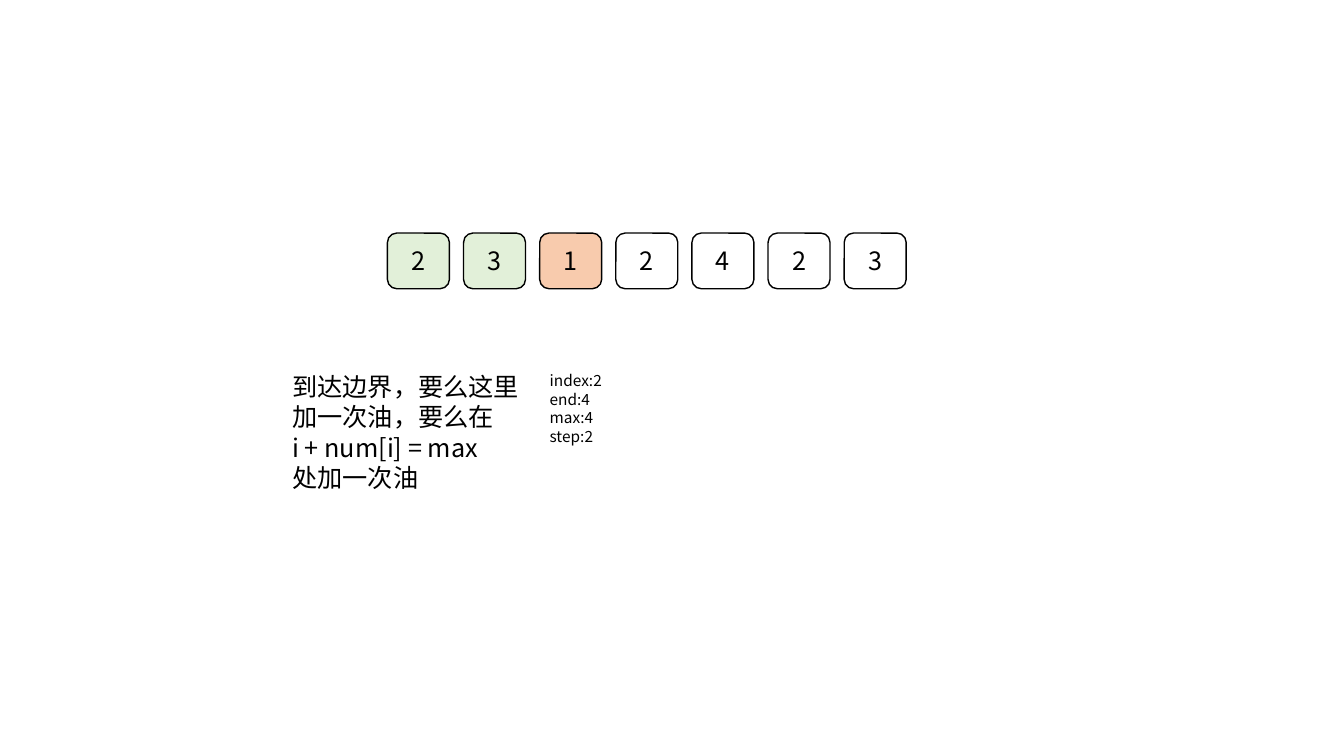
import pptx
import pptx.util
import pptx.dml.color
import pptx.enum.shapes
import pptx.enum.text
import pptx.oxml.ns
import lxml.etree

PX = 9525  # EMU per px, 96 px to the inch
FONT = "Noto Sans CJK SC"
COLORS = {"ink": "000000", "passed": "E2F0D9", "current": "F8CBAD", "ahead": "FFFFFF"}


def px(*lengths):
    return [pptx.util.Emu(round(n * PX)) for n in lengths]


def rgb(name):
    return pptx.dml.color.RGBColor.from_string(COLORS[name])


def format_text(tf, size):
    for p in tf.paragraphs:
        p.line_spacing = pptx.util.Pt(size * 1.2)
        for r in p.runs:
            r.font.size = pptx.util.Pt(size)
            r.font.name = FONT
            r.font.color.rgb = rgb("ink")
            ea = lxml.etree.SubElement(r.font._element, pptx.oxml.ns.qn("a:ea"))
            ea.set("typeface", FONT)


def add_array(s, box, values, states):
    """Spread the cells evenly across the box."""
    left, top, width, height = box
    cell_width = 59
    pitch = (width - cell_width) / (len(values) - 1)
    for i, (value, state) in enumerate(zip(values, states)):
        sp = s.shapes.add_shape(pptx.enum.shapes.MSO_SHAPE.ROUNDED_RECTANGLE,
                                *px(left + i * pitch, top, cell_width, height))
        sp.shadow.inherit = False
        sp.fill.solid()
        sp.fill.fore_color.rgb = rgb(state)
        sp.line.color.rgb = rgb("ink")
        sp.line.width = pptx.util.Pt(1)
        tf = sp.text_frame
        tf.text = str(value)
        tf.vertical_anchor = pptx.enum.text.MSO_ANCHOR.MIDDLE
        tf.paragraphs[0].alignment = pptx.enum.text.PP_ALIGN.CENTER
        format_text(tf, 18)


def add_note(s, box, lines, size):
    tf = s.shapes.add_textbox(*px(*box)).text_frame
    tf.word_wrap = True
    tf.auto_size = pptx.enum.text.MSO_AUTO_SIZE.SHAPE_TO_FIT_TEXT
    tf.text = "\n".join(lines)
    format_text(tf, size)


def main():
    prs = pptx.Presentation()
    prs.slide_width, prs.slide_height = px(1280, 720)
    s = prs.slides.add_slide(prs.slide_layouts[6])

    # Variables at this step
    add_note(s, (514, 349, 73, 81), ["index:2", "end:4", "max:4", "step:2"], 11)

    # Array of jump lengths
    states = ["passed"] * 2 + ["current"] + ["ahead"] * 4
    add_array(s, (369, 222, 494, 53), [2, 3, 1, 2, 4, 2, 3], states)

    # Explanation
    add_note(s, (269, 349, 246, 126),
             ["到达边界，要么这里加一次油，要么在", "i + num[i] = max", "处加一次油"], 18)

    prs.save("out.pptx")


if __name__ == "__main__":
    main()
